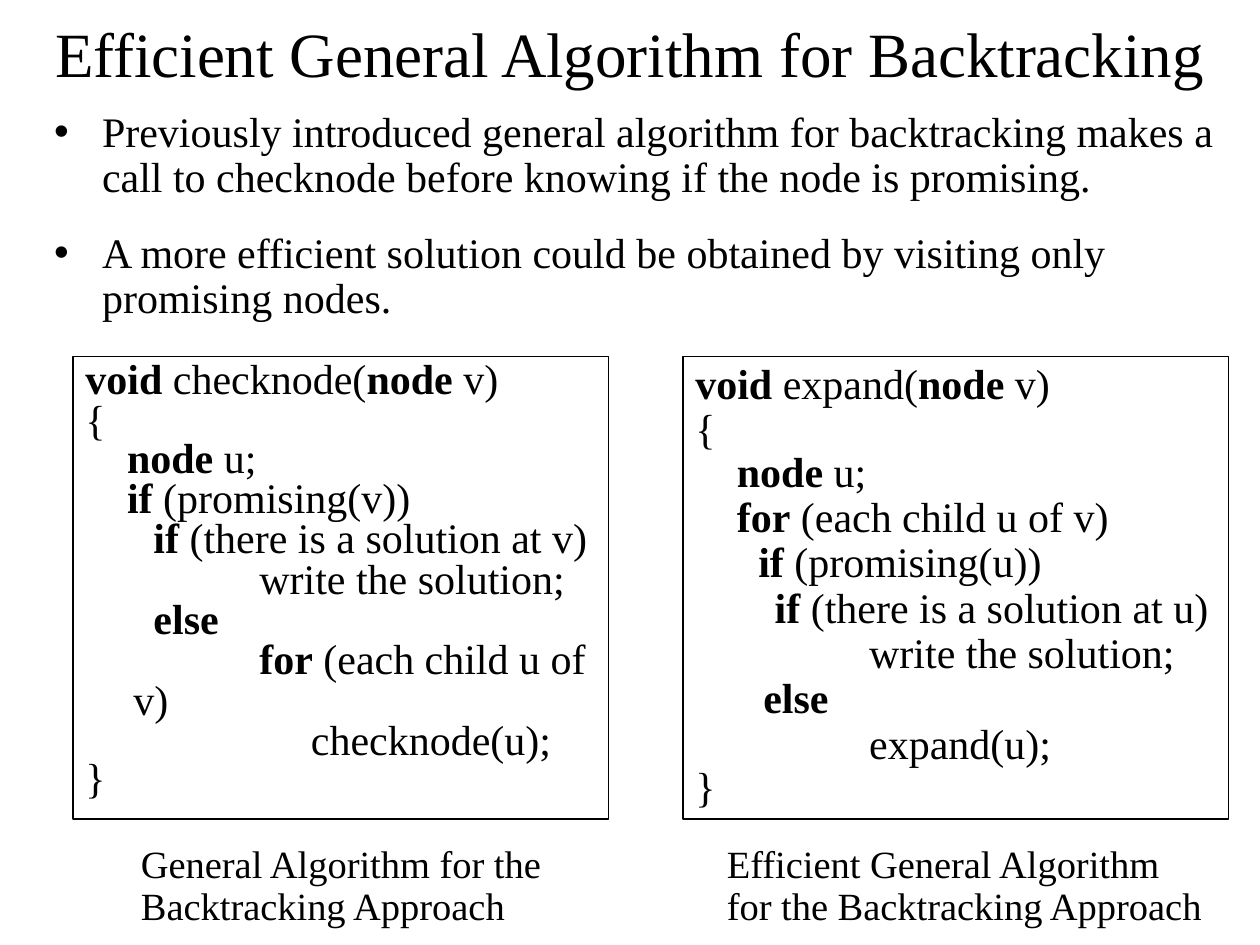
from pptx import Presentation
from pptx.dml.color import RGBColor
from pptx.enum.shapes import MSO_SHAPE
from pptx.enum.text import MSO_ANCHOR, MSO_AUTO_SIZE, PP_ALIGN
from pptx.util import Inches, Pt

FONT = "Times New Roman"
BLACK = "000000"
HANGING = 0.38
CODE_TOP, CODE_HEIGHT = 2.83, 3.67
CAPTION_TOP, CAPTION_HEIGHT = 6.67, 0.74
TIGHT_LINES = ("*node* u;", "}")

CHECKNODE = [
    (0, "*void* checknode(*node* v)"),
    (0, "{"),
    (0.33, "*node* u;"),
    (0.33, "*if* (promising(v))"),
    (0.54, "*if* (there is a solution at v)"),
    (1.38, "write the solution;"),
    (0.54, "*else*"),
    (1.38, "*for* (each child u of v)"),
    (1.79, "checknode(u);"),
    (0, "}"),
]
EXPAND = [
    (0, "*void* expand(*node* v)"),
    (0, "{"),
    (0.33, "*node* u;"),
    (0.33, "*for* (each child u of v)"),
    (0.5, "*if* (promising(u))"),
    (0.63, "*if* (there is a solution at u)"),
    (1.38, "write the solution;"),
    (0.54, "*else*"),
    (1.38, "expand(u);"),
    (0, "}"),
]
BULLETS = [
    "Previously introduced general algorithm for backtracking makes a call to "
    "checknode before knowing if the node is promising.",
    "A more efficient solution could be obtained by visiting only promising nodes.",
]


def color(value):
    return RGBColor.from_string(value)


def set_all(target, values):
    for name, value in values.items():
        setattr(target, name, value)


def place(shape, box):
    names = ("left", "top", "width", "height")
    set_all(shape, dict(zip(names, map(Inches, box))))


def set_frame(frame, side=0.1, edge=0.05, **values):
    set_all(frame, {
        "margin_left": Inches(side), "margin_right": Inches(side),
        "margin_top": Inches(edge), "margin_bottom": Inches(edge),
        "auto_size": MSO_AUTO_SIZE.NONE, "word_wrap": True,
        "vertical_anchor": MSO_ANCHOR.TOP, **values,
    })


def write_para(para, text, size, start=None, **values):
    set_all(para, {"alignment": PP_ALIGN.LEFT, "space_before": Pt(0), **values})
    if start is not None:
        properties = para._p.get_or_add_pPr()
        properties.set("marL", str(Inches(HANGING)))
        properties.set("indent", str(Inches(start) - Inches(HANGING)))
    for index, part in enumerate(text.split("*")):
        if part:
            span = para.add_run()
            span.text = part
            set_all(span.font, {"name": FONT, "size": Pt(size), "bold": index % 2 == 1})
            span.font.color.rgb = color(BLACK)


def paragraphs(frame, items):
    for index, item in enumerate(items):
        yield (frame.add_paragraph() if index else frame.paragraphs[0]), item


def add_title(page, box, text):
    title = page.shapes.title
    place(title, box)
    set_frame(title.text_frame, vertical_anchor=MSO_ANCHOR.MIDDLE)
    write_para(title.text_frame.paragraphs[0], text, 36, alignment=PP_ALIGN.CENTER)


def add_bullets(page, box, items):
    body = page.placeholders[1]
    place(body, box)
    set_frame(body.text_frame)
    for para, text in paragraphs(body.text_frame, items):
        before = 6 if text == items[0] else 17.5
        write_para(para, text, 24, start=0, line_spacing=0.9, space_before=Pt(before))


def add_code(page, box, lines, spacing):
    panel = page.shapes.add_shape(MSO_SHAPE.RECTANGLE, *map(Inches, box))
    panel.shadow.inherit = False
    panel.fill.background()
    panel.line.color.rgb = color(BLACK)
    panel.line.width = Pt(0.75)
    set_frame(panel.text_frame)
    for para, (start, text) in paragraphs(panel.text_frame, lines):
        tight = 0.05 if text in TIGHT_LINES else 0
        write_para(para, text, 24, start=start, line_spacing=spacing - tight)


def add_caption(page, box, lines):
    caption = page.shapes.add_textbox(*map(Inches, box))
    set_frame(caption.text_frame, edge=0.04, word_wrap=False,
              auto_size=MSO_AUTO_SIZE.SHAPE_TO_FIT_TEXT)
    for para, text in paragraphs(caption.text_frame, lines):
        write_para(para, text, 22, line_spacing=0.9)


def main():
    deck = Presentation()
    set_all(deck, {"slide_width": Inches(10), "slide_height": Inches(7.5)})
    page = deck.slides.add_slide(deck.slide_layouts[1])
    add_title(page, (0, 0, 10, 0.83), "Efficient General Algorithm for Backtracking")
    add_bullets(page, (0.33, 0.83, 9.67, 2.42), BULLETS)
    add_code(page, (0.58, CODE_TOP, 4.25, CODE_HEIGHT), CHECKNODE, 0.8)
    add_code(page, (5.42, CODE_TOP, 4.33, CODE_HEIGHT), EXPAND, 0.9)
    add_caption(page, (1.02, CAPTION_TOP, 3.39, CAPTION_HEIGHT),
                ["General Algorithm for the", "Backtracking Approach"])
    add_caption(page, (5.67, CAPTION_TOP, 3.98, CAPTION_HEIGHT),
                ["Efficient General Algorithm", "for the Backtracking Approach"])
    deck.save("out.pptx")


if __name__ == "__main__":
    main()
